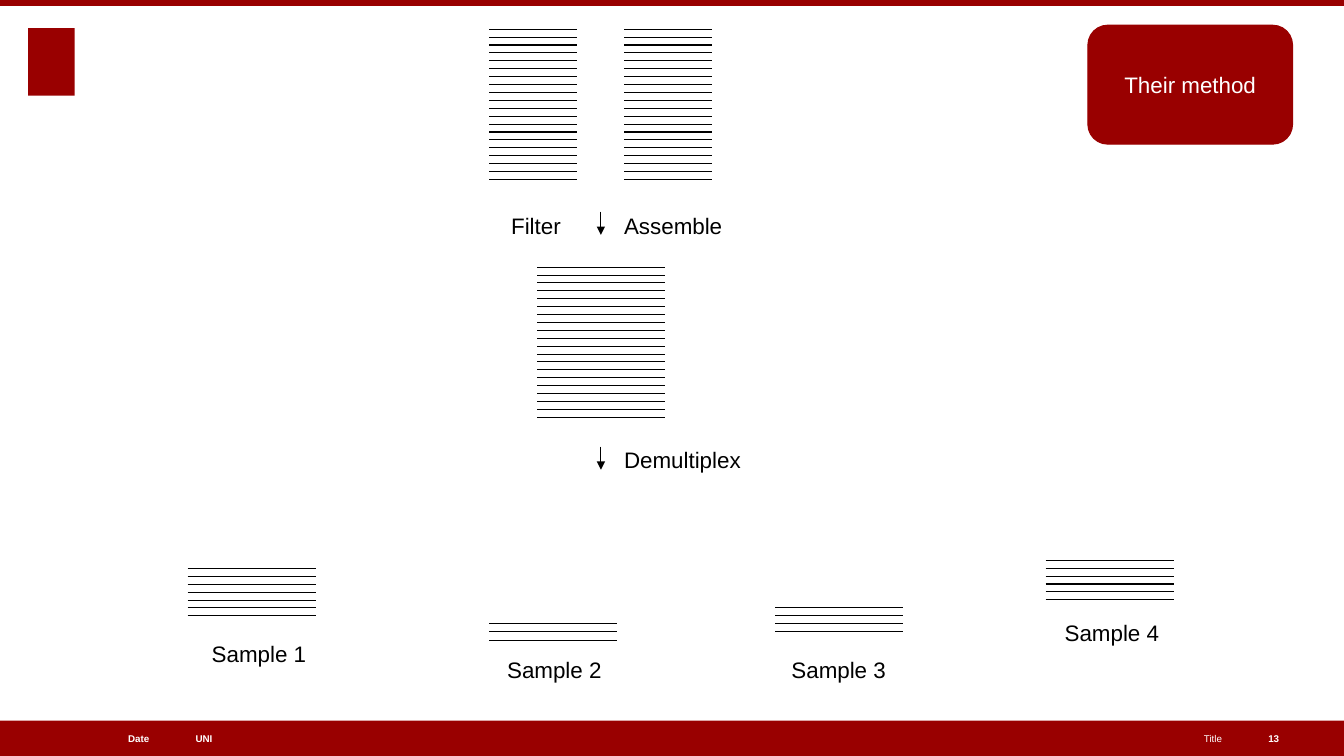
import dataclasses

import lxml.etree
import pptx
import pptx.dml.color
import pptx.enum.dml
import pptx.enum.shapes
import pptx.enum.text
import pptx.oxml.ns
import pptx.util

Inches = pptx.util.Inches
Pt = pptx.util.Pt
SHAPE = pptx.enum.shapes.MSO_SHAPE
ALIGN = pptx.enum.text.PP_ALIGN
ANCHOR = pptx.enum.text.MSO_ANCHOR


@dataclasses.dataclass(frozen=True)
class Theme:
    """Colours, font and sizes of the slide."""
    red: str = "990000"
    ink: str = "000000"
    paper: str = "FFFFFF"
    font: str = "Arial"
    body: float = 16
    footer: float = 7
    rule: float = 0.75
    before: float = 4.3


THEME = Theme()


def rgb(value):
    """Turn a hex string into a colour."""
    return pptx.dml.color.RGBColor.from_string(value)


def style(tf, text, size, color, bold=False, align=ALIGN.LEFT, before=0):
    """Write one styled paragraph into a text frame."""
    tf.text = text
    p = tf.paragraphs[0]
    p.alignment = align
    p.space_before = Pt(before)
    r = p.runs[0]
    r.font.name, r.font.size, r.font.bold = THEME.font, Pt(size), bold
    r.font.color.rgb = rgb(color)


def block(shapes, box, kind=SHAPE.RECTANGLE):
    """Add a solid red shape."""
    sp = shapes.add_shape(kind, *map(Inches, box))
    sp.shadow.inherit = False
    sp.fill.solid()
    sp.fill.fore_color.rgb = rgb(THEME.red)
    sp.line.fill.background()
    return sp


def text_box(shapes, box, wrap):
    """Add a text box without margins and return its text frame."""
    tf = shapes.add_textbox(*map(Inches, box)).text_frame
    tf.margin_left = tf.margin_right = tf.margin_top = tf.margin_bottom = 0
    tf.word_wrap = wrap
    return tf


def label(shapes, left, top, width, text):
    """Add a one-line label in body size."""
    tf = text_box(shapes, (left, top, width, 0.27), False)
    tf.auto_size = pptx.enum.text.MSO_AUTO_SIZE.SHAPE_TO_FIT_TEXT
    style(tf, text, THEME.body, THEME.ink, before=THEME.before)


def line(shapes, x1, y1, x2, y2):
    """Add a thin black straight line."""
    straight = pptx.enum.shapes.MSO_CONNECTOR.STRAIGHT
    c = shapes.add_connector(straight, *map(Inches, (x1, y1, x2, y2)))
    c.line.color.rgb = rgb(THEME.ink)
    c.line.width = Pt(THEME.rule)
    lxml.etree.SubElement(c._element.spPr, pptx.oxml.ns.qn("a:effectLst"))
    return c


def reads(shapes, box, count):
    """Spread a stack of read lines evenly over the box."""
    left, top, width, height = box
    for i in range(count):
        y = top + i * height / (count - 1)
        line(shapes, left, y, left + width, y)


def step(shapes, x, top, right, right_width, left=None):
    """Add a down arrow with a label on its right and perhaps its left."""
    c = line(shapes, x, top, x, top + 0.23)
    ln = c.line._get_or_add_ln()
    lxml.etree.SubElement(ln, pptx.oxml.ns.qn("a:tailEnd"), type="triangle")
    label(shapes, x + 0.23, top, right_width, right)
    if left:
        label(shapes, x - 0.89, top, 0.5, left)


def sample(shapes, box, count, name, label_left, label_top):
    """Group the reads of one sample with the name below them."""
    g = shapes.add_group_shape().shapes
    reads(g, box, count)
    label(g, label_left, label_top, 0.95, name)


def frame(shapes, width, height):
    """Add the top band, the emblem block and the footer."""
    bar = 0.35
    top = height - bar
    block(shapes, (0.28, 0.28, 0.46, 0.67))
    block(shapes, (0, top, width, bar))
    block(shapes, (0, 0, width, 0.06))
    for left, span, text, bold, align in (
        (1.94, 3.72, "UNI", True, ALIGN.LEFT),
        (0.27, 1.21, "Date", True, ALIGN.RIGHT),
        (6.11, 6.01, "Title", False, ALIGN.RIGHT),
        (12.58, 0.47, "13", True, ALIGN.LEFT),
    ):
        tf = text_box(shapes, (left, top, span, bar), True)
        tf.vertical_anchor = ANCHOR.MIDDLE
        style(tf, text, THEME.footer, THEME.paper, bold, align)


def method_badge(shapes, box):
    """Add the rounded badge that names the method."""
    sp = block(shapes, box, SHAPE.ROUNDED_RECTANGLE)
    sp.line.color.rgb = rgb(THEME.red)
    sp.line.width = Pt(THEME.rule)
    sp.text_frame.vertical_anchor = ANCHOR.MIDDLE
    style(sp.text_frame, "Their method", THEME.body, THEME.paper,
          align=ALIGN.CENTER, before=THEME.before)


def pipeline(shapes):
    """Add the read stacks, the steps between them and the samples."""
    for left in (4.85, 6.19):
        reads(shapes, (left, 0.29, 0.87, 1.49), 20)
    step(shapes, 5.96, 2.1, "Assemble", 0.98, "Filter")
    reads(shapes.add_group_shape().shapes, (5.33, 2.65, 1.27, 1.49), 20)
    step(shapes, 5.96, 4.43, "Demultiplex", 1.17)
    for name, left, top, height, count, label_left, label_top in (
        ("Sample 1", 1.86, 5.64, 0.47, 7, 2.1, 6.35),
        ("Sample 2", 4.85, 6.19, 0.16, 3, 5.03, 6.51),
        ("Sample 3", 7.69, 6.03, 0.24, 4, 7.85, 6.51),
        ("Sample 4", 10.37, 5.56, 0.39, 6, 10.56, 6.14),
    ):
        sample(shapes, (left, top, 1.27, height), count, name,
               label_left, label_top)


def main():
    """Build and save the slide."""
    prs = pptx.Presentation()
    prs.slide_width, prs.slide_height = Inches(13.33), Inches(7.5)
    s = prs.slides.add_slide(prs.slide_layouts[6])
    frame(s.shapes, 13.33, 7.5)
    pipeline(s.shapes)
    method_badge(s.shapes, (10.79, 0.25, 2.03, 1.18))
    prs.save("out.pptx")


if __name__ == "__main__":
    main()
